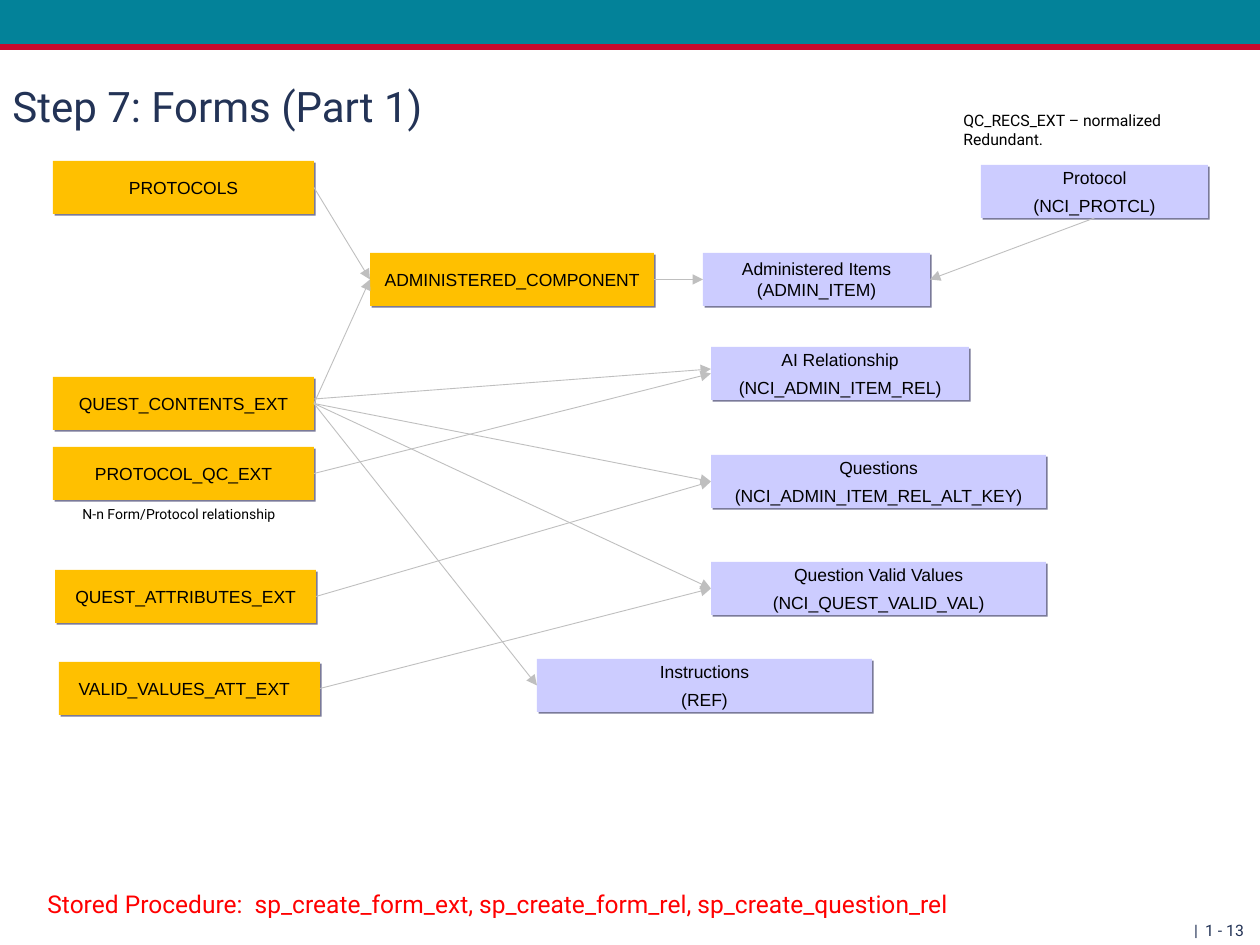
from lxml import etree
from pptx import Presentation
from pptx.dml.color import RGBColor
from pptx.enum.shapes import MSO_CONNECTOR, MSO_SHAPE
from pptx.enum.text import MSO_ANCHOR as ANCHOR, PP_ALIGN as ALIGN
from pptx.oxml.ns import qn
from pptx.util import Emu, Pt

TEAL = RGBColor(0x03, 0x82, 0x99)
RED = RGBColor(0xC6, 0x09, 0x2D)
NAVY = RGBColor(0x23, 0x33, 0x56)
AMBER = RGBColor(0xFF, 0xC0, 0x00)
LILAC = RGBColor(0xCC, 0xCC, 0xFF)
GREY = RGBColor(0xBF, 0xBF, 0xBF)
BLACK = RGBColor(0x00, 0x00, 0x00)
BRIGHT_RED = RGBColor(0xFF, 0x00, 0x00)


def px(*values):
    return [Emu(round(v * 914400 / 126)) for v in values]


def write(sp, lines, size, font, color, align=ALIGN.LEFT, wrap=True):
    tf = sp.text_frame
    tf.word_wrap = wrap
    tf.text = "\n".join(lines)
    for i, p in enumerate(tf.paragraphs):
        p.alignment = align
        p.font.size = Pt(size)
        p.font.name = font
        p.font.color.rgb = color
        if i and align == ALIGN.CENTER:
            p.space_before = Pt(3.7)
    return tf


prs = Presentation()
prs.slide_width, prs.slide_height = px(1260, 945)
s = prs.slides.add_slide(prs.slide_layouts[6])

for y, h, color in [(0, 50, TEAL), (44, 6, RED)]:
    sp = s.shapes.add_shape(MSO_SHAPE.RECTANGLE, *px(0, y, 1260, h))
    sp.shadow.inherit = False
    sp.fill.solid()
    sp.fill.fore_color.rgb = color
    sp.line.fill.background()

for x, w, text, margin in [(444, 816, "1 - 13", 16), (964, 247, "|", 13)]:
    sp = s.shapes.add_textbox(*px(x, 911, w, 34))
    tf = write(sp, [text], 9, "Roboto", NAVY, ALIGN.RIGHT)
    tf.margin_right = px(margin)[0]
    tf.paragraphs[0].line_spacing = 1.2

title = s.shapes.add_textbox(*px(0, 62, 1134, 87))
write(title, ["Step 7: Forms (Part 1)"], 24, "Roboto", NAVY).vertical_anchor = ANCHOR.MIDDLE

notes = [
    (35, 883, 979, 43, 14, BRIGHT_RED,
     ["Stored Procedure:  sp_create_form_ext, sp_create_form_rel, sp_create_question_rel"]),
    (951, 105, 224, 50, 9, BLACK, ["QC_RECS_EXT – normalized", "Redundant."]),
    (70, 499, 231, 30, 8, BLACK, ["N-n Form/Protocol relationship"]),
]
for x, y, w, h, size, color, lines in notes:
    sp = s.shapes.add_textbox(*px(x, y, w, h))
    write(sp, lines, size, "Roboto", color, wrap=False)

boxes = [
    ("protocols", 53, 161, 261, AMBER, ["PROTOCOLS"]),
    ("contents", 53, 377, 261, AMBER, ["QUEST_CONTENTS_EXT"]),
    ("protocol_qc", 53, 447, 261, AMBER, ["PROTOCOL_QC_EXT"]),
    ("attributes", 55, 570, 261, AMBER, ["QUEST_ATTRIBUTES_EXT"]),
    ("valid_att", 59, 662, 261, AMBER, ["VALID_VALUES_ATT_EXT"]),
    ("component", 370, 253, 284, AMBER, ["ADMINISTERED_COMPONENT"]),
    ("admin_item", 703, 253, 227, LILAC, ["Administered Items (ADMIN_ITEM)"]),
    ("relationship", 711, 347, 258, LILAC, ["AI Relationship", "(NCI_ADMIN_ITEM_REL)"]),
    ("questions", 711, 455, 335, LILAC, ["Questions", "(NCI_ADMIN_ITEM_REL_ALT_KEY)"]),
    ("valid_values", 711, 562, 335, LILAC, ["Question Valid Values", "(NCI_QUEST_VALID_VAL)"]),
    ("instructions", 537, 659, 335, LILAC, ["Instructions", "(REF)"]),
    ("protocol", 981, 165, 227, LILAC, ["Protocol", "(NCI_PROTCL)"]),
]
shapes = {}
for name, x, y, w, color, lines in boxes:
    sp = s.shapes.add_shape(MSO_SHAPE.RECTANGLE, *px(x, y, w, 53))
    sp.fill.solid()
    sp.fill.fore_color.rgb = color
    sp.line.fill.background()
    sp.shadow.inherit = False
    effects = sp.element.spPr.find(qn("a:effectLst"))
    shadow = etree.SubElement(effects, qn("a:outerShdw"), dist="17780", dir="2700000",
                              algn="ctr", rotWithShape="0")
    etree.SubElement(shadow, qn("a:srgbClr"), val="7A7A99")
    tf = write(sp, lines, 10, "Arial", BLACK, ALIGN.CENTER)
    tf.vertical_anchor = ANCHOR.MIDDLE
    shapes[name] = sp
shapes["valid_att"].text_frame.margin_right = px(23)[0]

links = [
    ("protocols", 3, "component", 1),
    ("contents", 3, "component", 1),
    ("component", 3, "admin_item", 1),
    ("protocol", 2, "admin_item", 3),
    ("contents", 3, "questions", 1),
    ("contents", 3, "valid_values", 1),
    ("contents", 3, "instructions", 1),
    ("protocol_qc", 3, "relationship", 1),
    ("attributes", 3, "questions", 1),
    ("valid_att", 3, "valid_values", 1),
]
arrows = [s.shapes.add_connector(MSO_CONNECTOR.STRAIGHT, *px(314, 399, 711, 369))]
for start, start_side, end, end_side in links:
    arrow = s.shapes.add_connector(MSO_CONNECTOR.STRAIGHT, 0, 0, 0, 0)
    arrow.begin_connect(shapes[start], start_side)
    arrow.end_connect(shapes[end], end_side)
    arrows.append(arrow)
for arrow in arrows:
    arrow.line.color.rgb = GREY
    arrow.line.width = Pt(0.5)
    etree.SubElement(arrow.line._get_or_add_ln(), qn("a:tailEnd"), type="triangle")
    etree.SubElement(arrow._element.spPr, qn("a:effectLst"))

prs.save("out.pptx")
